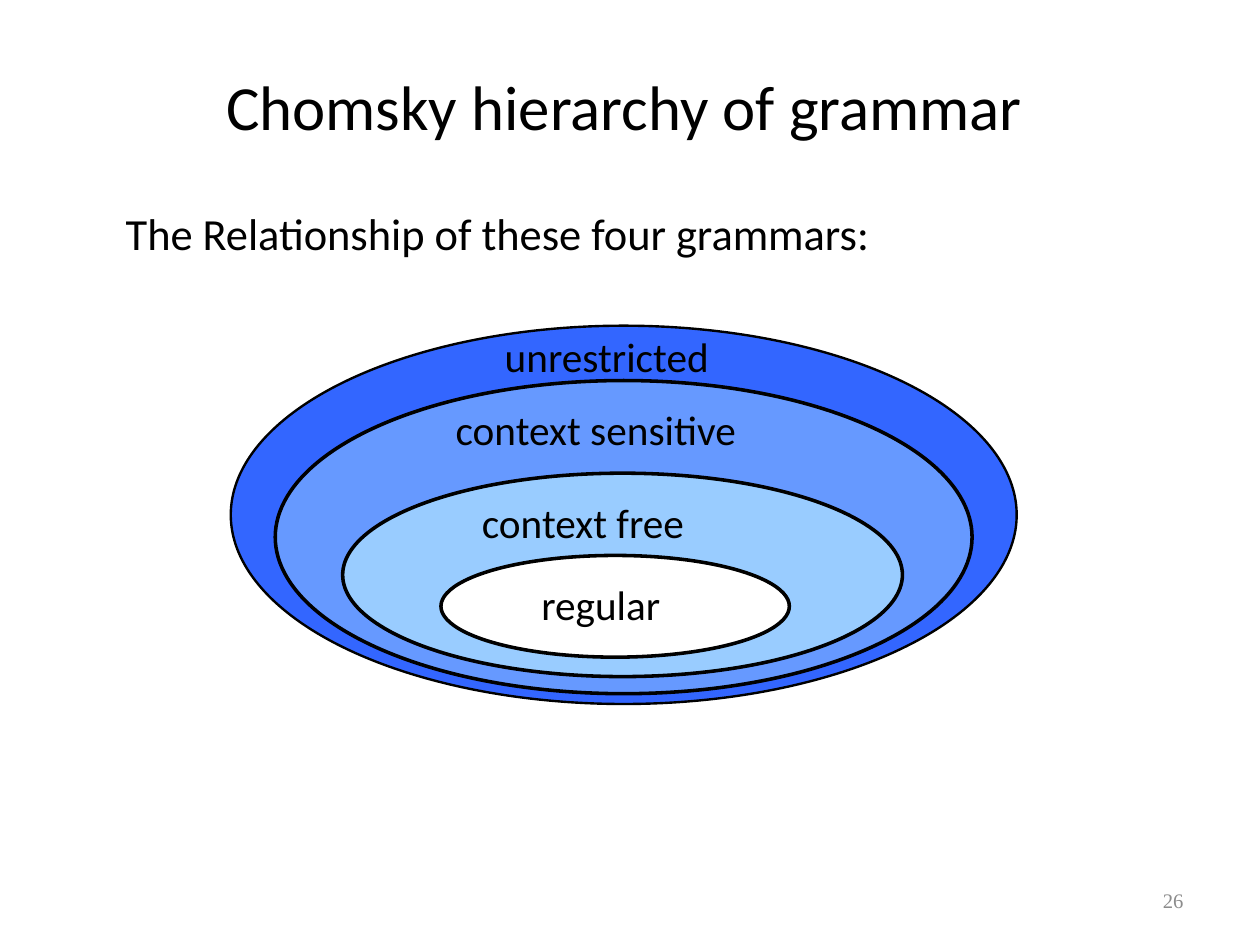
from lxml.etree import SubElement
from pptx import Presentation
from pptx.dml.color import RGBColor
from pptx.enum.shapes import MSO_SHAPE as SHAPE
from pptx.enum.text import MSO_ANCHOR as ANCHOR, MSO_AUTO_SIZE as AUTO, PP_ALIGN as ALIGN
from pptx.oxml.ns import qn
from pptx.util import Inches, Pt

BLACK = "000000"
GRAMMARS = [
    ("unrestricted", "3366FF", 1.5, (0, 0, 6.88, 3.31), (2.3, 0, 2.49)),
    ("context sensitive", "6699FF", 2.25, (0.39, 0.48, 6.1, 2.74), (1.87, 0.64, 3.19)),
    ("context free", "99CCFF", 2.25, (0.98, 1.29, 4.9, 1.78), (2.1, 1.45, 2.74)),
    ("regular", "FFFFFF", 2.25, (1.84, 2.01, 3.05, 0.89), (2.62, 2.17, 1.65)),
]


def color(value):
    """Return the colour for a hex string."""
    return RGBColor.from_string(value)


def place(sp, x, y, w, h):
    """Move and size a shape, in inches."""
    sp.left, sp.top, sp.width, sp.height = (Inches(v) for v in (x, y, w, h))


def write(sp, text, size, align=ALIGN.LEFT, anchor=ANCHOR.TOP, font="Calibri", fill=BLACK):
    """Write one formatted run into a shape and return its paragraph."""
    tf = sp.text_frame
    tf.word_wrap = True
    tf.auto_size = AUTO.NONE
    tf.vertical_anchor = anchor
    p = tf.paragraphs[0]
    p.alignment = align
    r = p.add_run()
    r.text = text
    r.font.name, r.font.size = font, Pt(size)
    r.font.color.rgb = color(fill)
    return p


def add_title(s, x, y, w, h):
    """Fill the title placeholder."""
    sp = s.shapes.title
    place(sp, x, y, w, h)
    write(sp, "Chomsky hierarchy of grammar", 39.6, ALIGN.CENTER, ANCHOR.MIDDLE)


def add_body(s, x, y, w, h):
    """Fill the body placeholder with an unbulleted second-level line."""
    sp = s.placeholders[1]
    place(sp, x, y, w, h)
    p = write(sp, "The Relationship of these four grammars:", 28)
    p.level = 1
    p.space_before = Pt(5.6)
    pPr = p._p.get_or_add_pPr()
    pPr.set("marL", str(Inches(0.81)))
    pPr.set("indent", str(Inches(-0.31)))
    SubElement(pPr, qn("a:buNone"))


def add_hierarchy(s, x, y):
    """Draw the nested grammar classes, then their labels."""
    for _, fill, line, (dx, dy, w, h), _ in GRAMMARS:
        sp = s.shapes.add_shape(SHAPE.OVAL, Inches(x + dx), Inches(y + dy), Inches(w), Inches(h))
        sp.shadow.inherit = False
        sp.fill.solid()
        sp.fill.fore_color.rgb = color(fill)
        sp.line.color.rgb = color(BLACK)
        sp.line.width = Pt(line)
    for name, _, _, _, (dx, dy, w) in GRAMMARS:
        sp = s.shapes.add_textbox(Inches(x + dx), Inches(y + dy), Inches(w), Inches(0.55))
        write(sp, name, 26)


def add_number(s, x, y, w, h):
    """Add the page number."""
    sp = s.shapes.add_textbox(Inches(x), Inches(y), Inches(w), Inches(h))
    tf = sp.text_frame
    tf.margin_left = tf.margin_right = Inches(0.11)
    tf.margin_top = tf.margin_bottom = Inches(0.06)
    write(sp, "26", 13, ALIGN.RIGHT, ANCHOR.MIDDLE, "Times New Roman", "8C8C8C")


def main():
    """Build and save the slide."""
    prs = Presentation()
    prs.slide_width, prs.slide_height = Inches(11.03), Inches(8.26)
    s = prs.slides.add_slide(prs.slide_layouts[1])
    add_title(s, 0.5, 0.3, 9.93, 1.25)
    add_body(s, 0.5, 1.75, 9, 4.95)
    add_hierarchy(s, 2.02, 2.85)
    add_number(s, 7.9, 7.66, 2.57, 0.44)
    prs.save("out.pptx")


if __name__ == "__main__":
    main()
